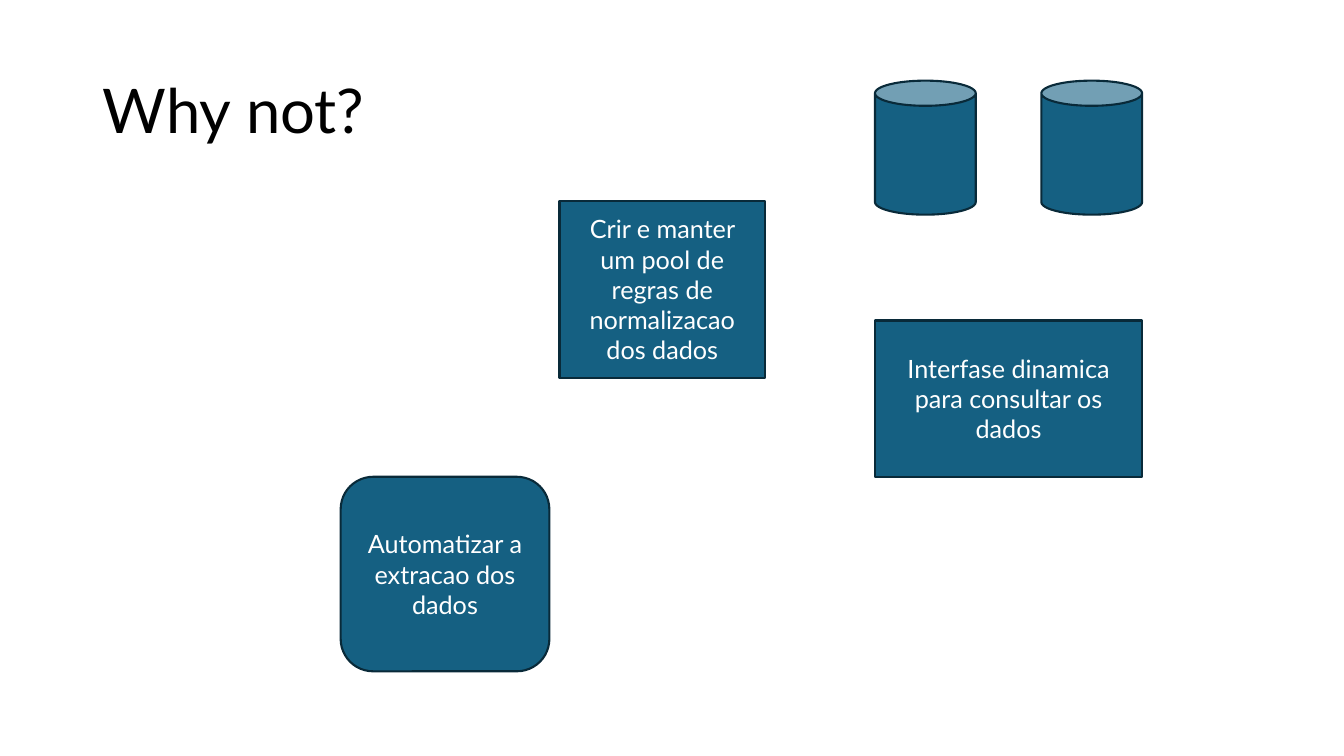
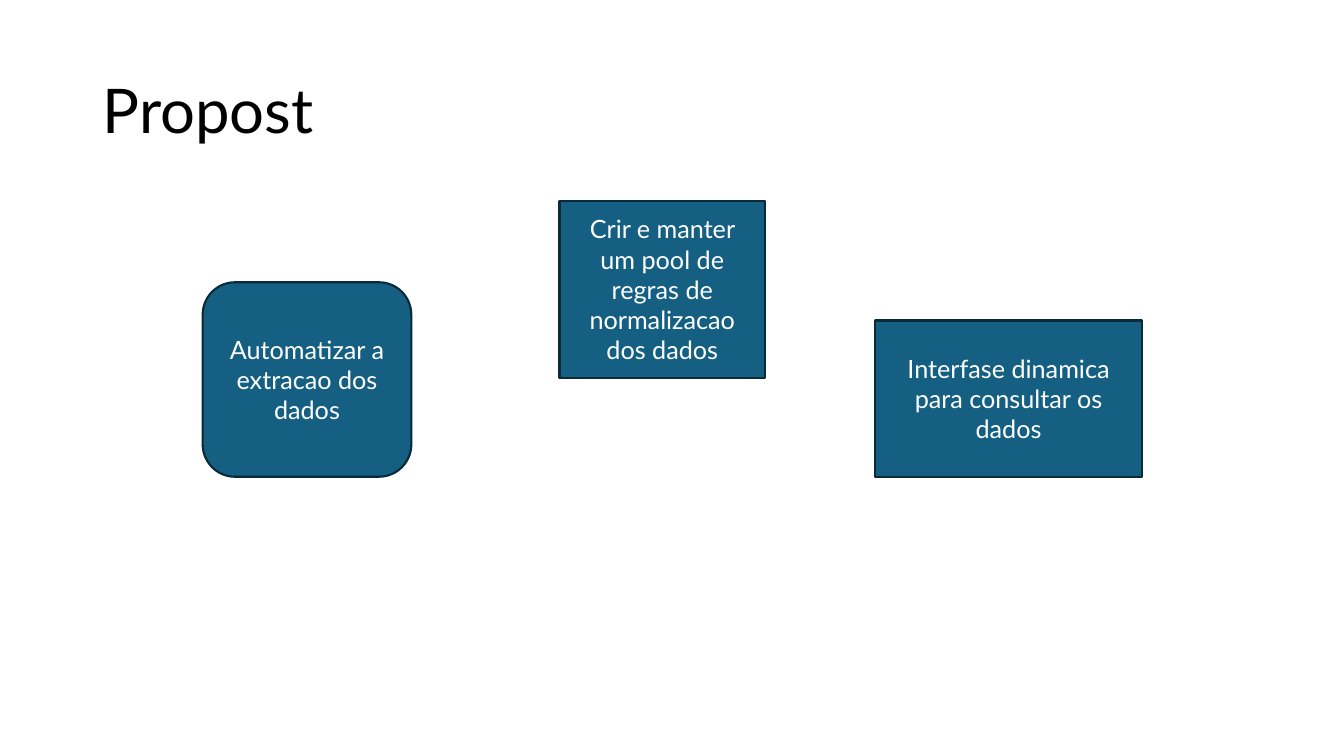
from pptx import Presentation
from pptx.dml.color import RGBColor
from pptx.enum.shapes import MSO_SHAPE
from pptx.enum.text import MSO_ANCHOR, MSO_AUTO_SIZE, PP_ALIGN
from pptx.util import Inches, Pt

RECT, ROUNDED, CAN = MSO_SHAPE.RECTANGLE, MSO_SHAPE.ROUNDED_RECTANGLE, MSO_SHAPE.CAN
LEFT, CENTER, MIDDLE = PP_ALIGN.LEFT, PP_ALIGN.CENTER, MSO_ANCHOR.MIDDLE
NO_AUTOFIT = MSO_AUTO_SIZE.NONE
TITLE_ONLY = 5

FONT = "Lato"
FILL, LINE, WHITE, BLACK = "156082", "092A39", "FFFFFF", "000000"

prs = Presentation()
prs.slide_width, prs.slide_height = Inches(13.33), Inches(7.5)
COL, ROW = prs.slide_width / 100, prs.slide_height / 100


def color(hex_code):
    return RGBColor.from_string(hex_code)


def place_text(sp, box, text, size, font_color, align):
    """Set the shape's box, in percent of the slide, and its single run of text."""
    x, y, w, h = box
    sp.left, sp.top = round(x * COL), round(y * ROW)
    sp.width, sp.height = round(w * COL), round(h * ROW)
    tf = sp.text_frame
    tf.word_wrap, tf.auto_size, tf.vertical_anchor = True, NO_AUTOFIT, MIDDLE
    p = tf.paragraphs[0]
    p.alignment = align
    if text:
        r = p.add_run()
        r.text = text
        r.font.name, r.font.size = FONT, Pt(size)
        r.font.color.rgb = color(font_color)


# Edges that several shapes share
right_col, right_width = 65.1, 19.88
base = 63.07
can_width = 7.5
extract_width, extract_height = 15.53, 25.73

shared_shapes = [
    (RECT, (41.63, 26.53, 15.3, 23.47),
     "Crir e manter um pool de regras de normalizacao dos dados"),
    (RECT, (right_col, base - 20.67, right_width, 20.67),
     "Interfase dinamica para consultar os dados"),
]
databases = [(CAN, (x, 10.67, can_width, 17.73), "")
             for x in (right_col, right_col + right_width - can_width)]

# Title, left and top of the extraction step, further shapes
slides = [
    ("Why not?", 25.35, base, databases),
    ("Propost", 15.08, base - extract_height, []),
]

for title, extract_x, extract_y, extra_shapes in slides:
    s = prs.slides.add_slide(prs.slide_layouts[TITLE_ONLY])
    place_text(s.shapes.title, (6.9, 5.33, 86.25, 19.33), title, 44, BLACK, LEFT)
    s.shapes.title.text_frame.paragraphs[0].line_spacing = 0.9

    extraction = (ROUNDED, (extract_x, extract_y, extract_width, extract_height),
                  "Automatizar a extracao dos dados")
    for kind, box, text in [*shared_shapes, extraction, *extra_shapes]:
        sp = s.shapes.add_shape(kind, 0, 0, 0, 0)
        sp.shadow.inherit = False
        sp.fill.solid()
        sp.fill.fore_color.rgb = color(FILL)
        sp.line.color.rgb = color(LINE)
        sp.line.width = Pt(1.5)
        place_text(sp, box, text, 18, WHITE, CENTER)

prs.save("out.pptx")
